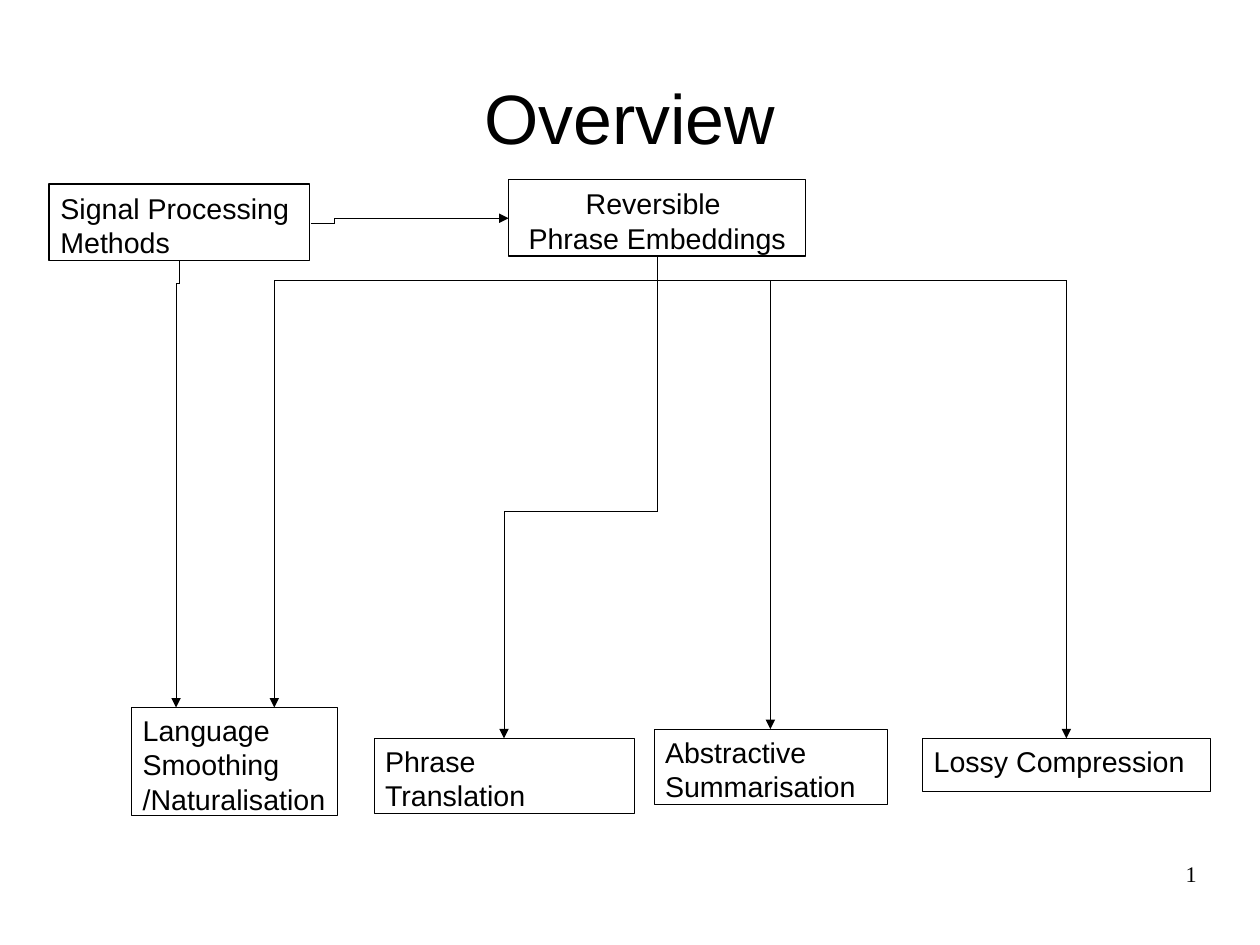
from dataclasses import dataclass

from pptx import Presentation
from pptx.dml.color import RGBColor
from pptx.enum.shapes import MSO_CONNECTOR, MSO_SHAPE
from pptx.enum.text import MSO_ANCHOR, PP_ALIGN
from pptx.oxml.ns import qn
from pptx.oxml.xmlchemy import OxmlElement
from pptx.util import Inches, Pt


@dataclass(frozen=True)
class Theme:
    ink: RGBColor = RGBColor(0, 0, 0)
    font: str = "Arial"
    number_font: str = "Times New Roman"
    title_size: int = 44
    box_size: int = 18
    number_size: int = 14
    heavy_line: float = 0.85
    thin_line: float = 0.28
    arrow_line: float = 0.01
    heavy_insets: tuple = (0.1, 0.06, 0.1, 0.06)
    thin_insets: tuple = (0.1, 0.05, 0.08, 0.05)
    lead: float = 0.2


def write_text(shape, text, *, font, size, color, align=PP_ALIGN.LEFT,
               anchor=MSO_ANCHOR.TOP, insets=(0, 0, 0, 0)):
    frame = shape.text_frame
    frame.word_wrap = True
    frame.vertical_anchor = anchor
    (frame.margin_left, frame.margin_top,
     frame.margin_right, frame.margin_bottom) = map(Inches, insets)
    paragraph = frame.paragraphs[0]
    paragraph.text = text
    paragraph.alignment = align
    for run in paragraph.runs:
        run.font.name = font
        run.font.size = Pt(size)
        run.font.color.rgb = color


class OverviewSlide:
    """Draws the overview diagram in one theme on one slide."""

    def __init__(self, slide, theme):
        self.shapes = slide.shapes
        self.theme = theme

    def label(self, text, left, top, width, height, **text_format):
        shape = self.shapes.add_textbox(*map(Inches, (left, top, width, height)))
        write_text(shape, text, color=self.theme.ink, **text_format)

    def box(self, text, left, top, width, height, heavy=False, align=PP_ALIGN.LEFT):
        theme = self.theme
        shape = self.shapes.add_shape(
            MSO_SHAPE.RECTANGLE, *map(Inches, (left, top, width, height)))
        shape.shadow.inherit = False
        shape.fill.background()
        shape.line.color.rgb = theme.ink
        shape.line.width = Pt(theme.heavy_line if heavy else theme.thin_line)
        write_text(shape, text, font=theme.font, size=theme.box_size, color=theme.ink,
                   align=align,
                   insets=theme.heavy_insets if heavy else theme.thin_insets)

    def arrow(self, start, end, lead=None, downward=True):
        (x1, y1), (x2, y2) = start, end
        length = y2 - y1 if downward else x2 - x1
        if downward:
            center_x, center_y = (x1 + x2) / 2, (y1 + y2) / 2
            half_x, half_y = (y2 - y1) / 2, (x1 - x2) / 2
            x1, x2 = center_x - half_x, center_x + half_x
            y1, y2 = center_y - half_y, center_y + half_y
        connector = self.shapes.add_connector(
            MSO_CONNECTOR.ELBOW, *map(Inches, (x1, y1, x2, y2)))
        connector.line.color.rgb = self.theme.ink
        connector.line.width = Pt(self.theme.arrow_line)
        properties = connector._element.spPr
        if downward:
            properties.find(qn("a:xfrm")).set("rot", "5400000")

        geometry = properties.find(qn("a:prstGeom"))
        adjustments = geometry.find(qn("a:avLst"))
        if adjustments is None:
            adjustments = OxmlElement("a:avLst")
            geometry.append(adjustments)
        bend = OxmlElement("a:gd")
        bend.set("name", "adj1")
        bend.set("fmla", f"val {round((lead or self.theme.lead) / length * 100000)}")
        adjustments.append(bend)

        head = OxmlElement("a:tailEnd")
        head.set("type", "triangle")
        properties.find(qn("a:ln")).append(head)
        properties.append(OxmlElement("a:effectLst"))


def main():
    presentation = Presentation()
    presentation.slide_width = Inches(28 / 2.54)
    presentation.slide_height = Inches(21 / 2.54)
    theme = Theme()
    overview = OverviewSlide(
        presentation.slides.add_slide(presentation.slide_layouts[6]), theme)

    overview.label("Overview", 0.55, 0.33, 9.92, 1.38, font=theme.font,
                   size=theme.title_size, align=PP_ALIGN.CENTER, anchor=MSO_ANCHOR.MIDDLE)

    overview.box("Reversible \nPhrase Embeddings", 4.45, 1.57, 2.6, 0.67,
                 heavy=True, align=PP_ALIGN.CENTER)
    overview.box("Signal Processing Methods", 0.43, 1.61, 2.28, 0.67, heavy=True)
    applications = [
        ("Language \nSmoothing\n/Naturalisation", 1.15, 6.19, 1.8, 0.94),
        ("Phrase \nTranslation", 3.27, 6.46, 2.28, 0.66),
        ("Abstractive Summarisation", 5.72, 6.38, 2.04, 0.66),
        ("Lossy Compression", 8.07, 6.46, 2.52, 0.46),
    ]
    for application in applications:
        overview.box(*application)

    embeddings_bottom = (5.75, 2.25)
    overview.arrow((2.72, 1.95), (4.45, 1.91), downward=False)
    overview.arrow((1.57, 2.28), (1.54, 6.19))
    for target, lead in [((2.4, 6.19), None), ((4.41, 6.46), 2.22),
                         ((6.74, 6.38), None), ((9.33, 6.46), None)]:
        overview.arrow(embeddings_bottom, target, lead)

    overview.label("1", 7.9, 7.53, 2.57, 0.57, font=theme.number_font,
                   size=theme.number_size, align=PP_ALIGN.RIGHT)
    presentation.save("out.pptx")


if __name__ == "__main__":
    main()
